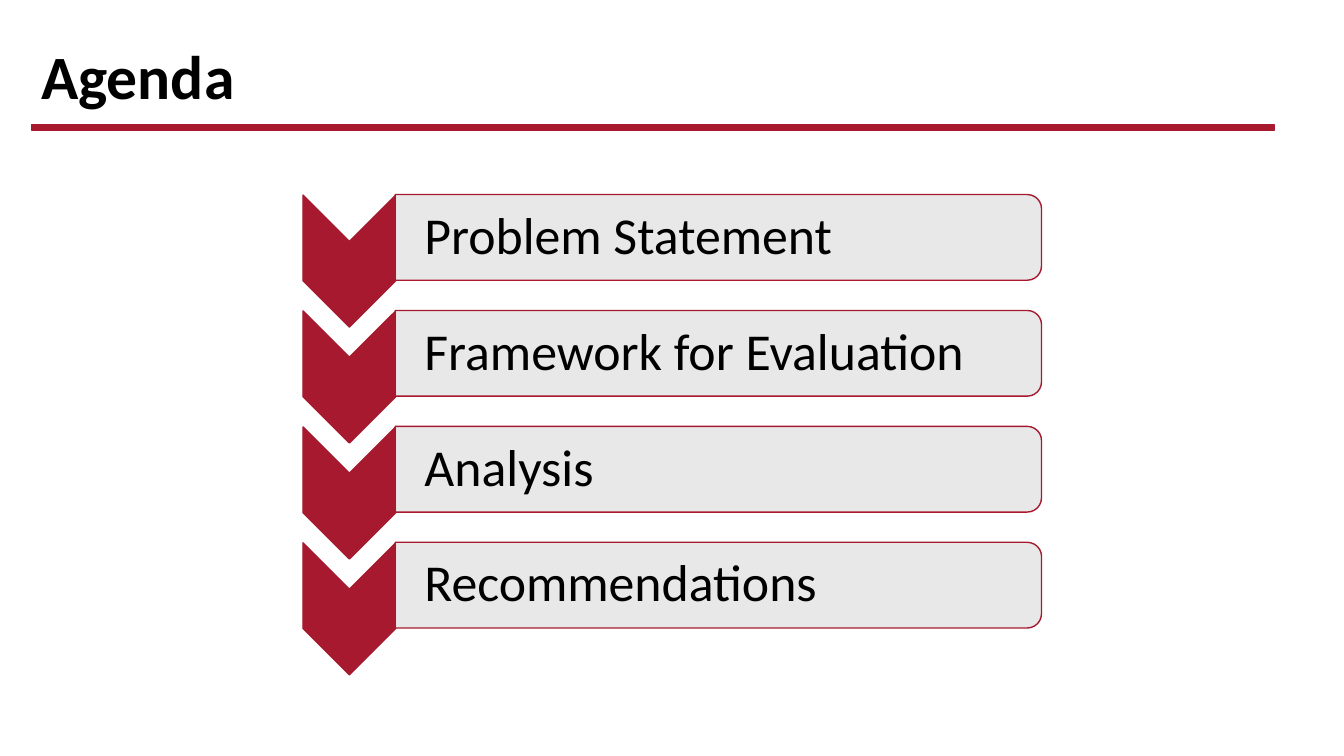
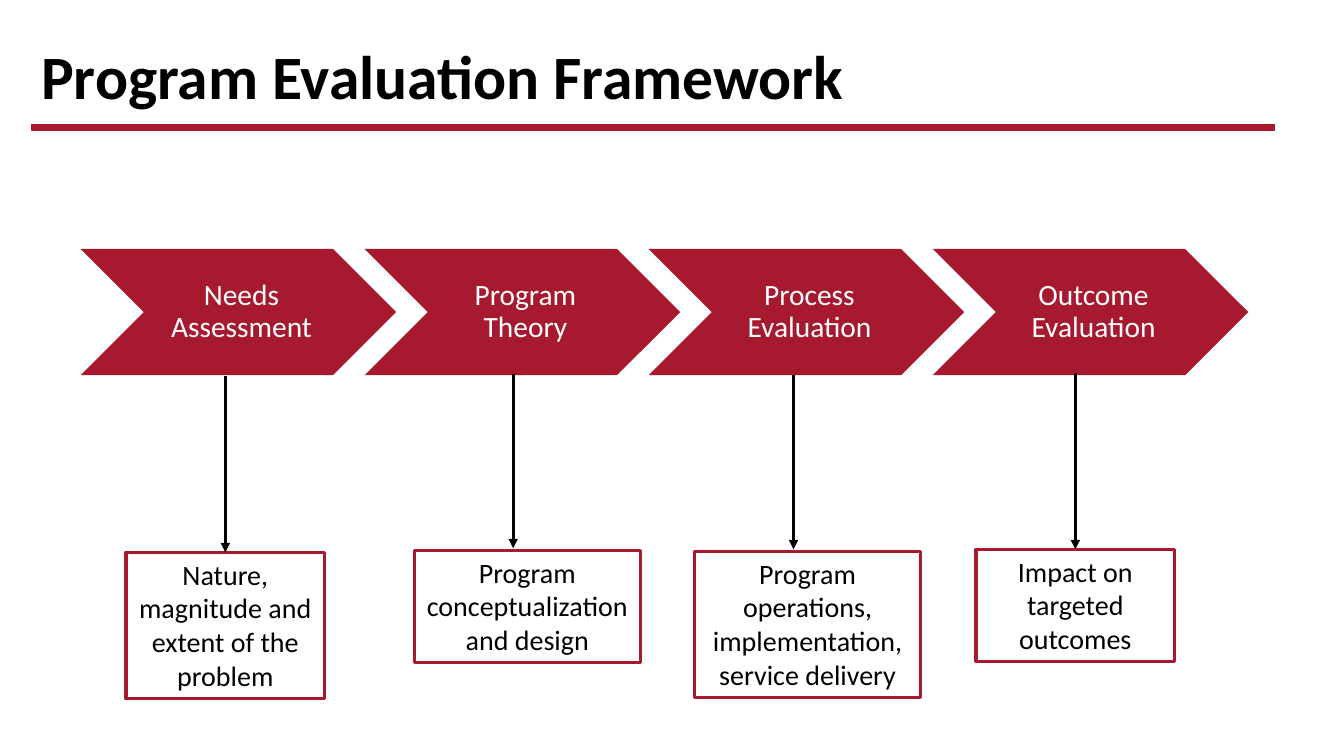
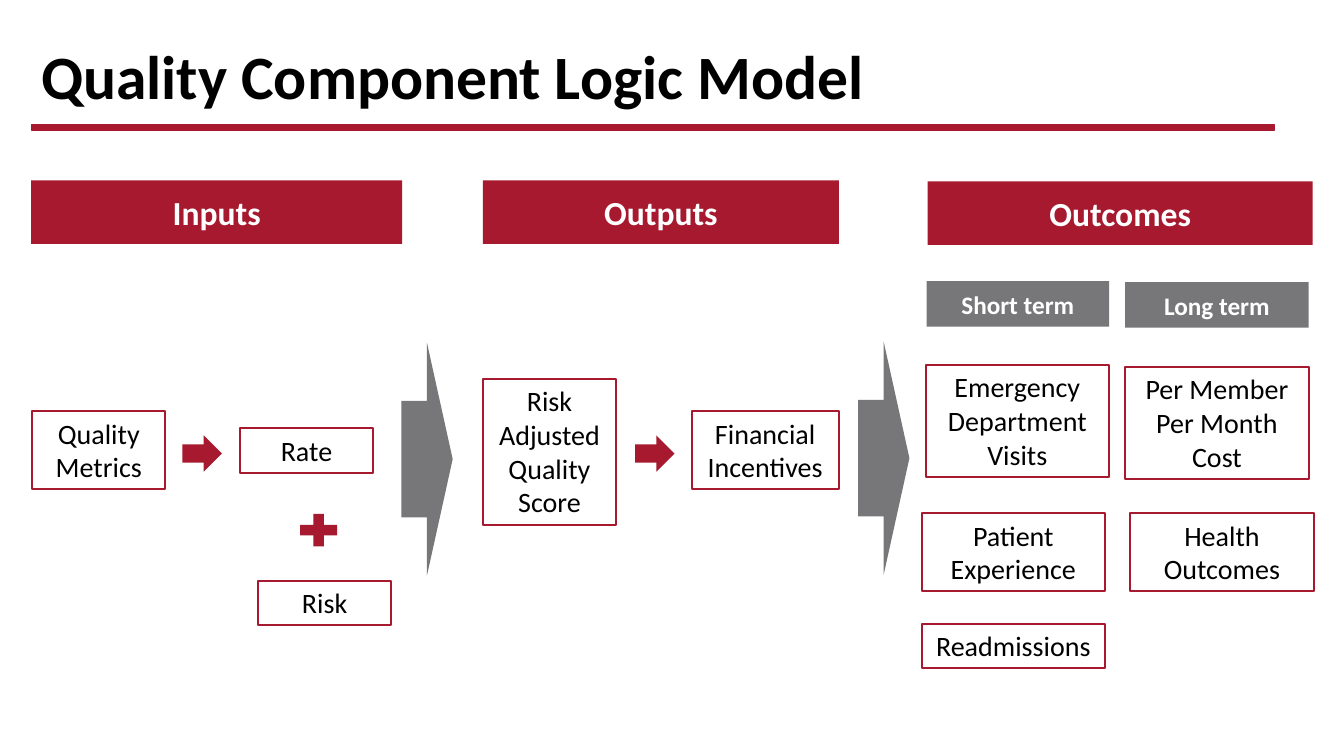
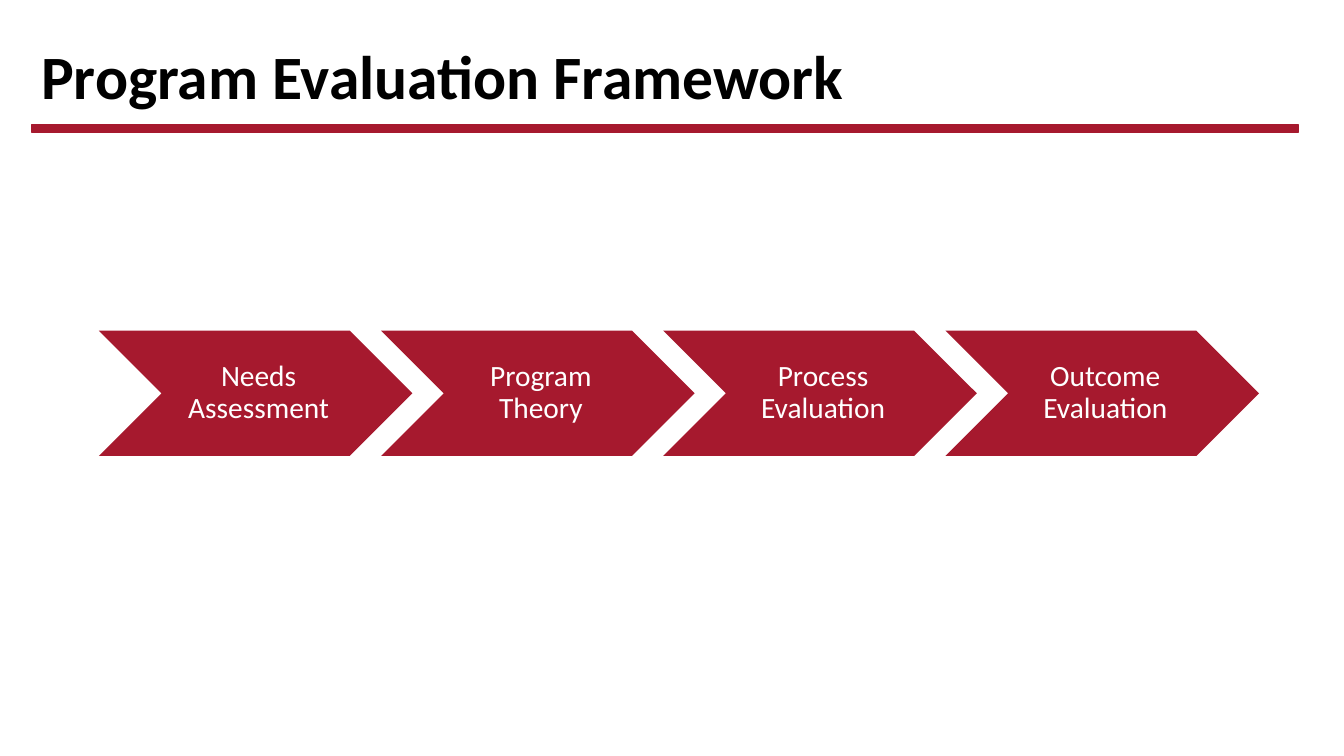
"""Build four slides on a program evaluation framework."""
from dataclasses import dataclass

from lxml.etree import SubElement
from pptx import Presentation
from pptx.dml.color import RGBColor
from pptx.enum.shapes import MSO_CONNECTOR, MSO_SHAPE
from pptx.enum.text import MSO_ANCHOR, MSO_AUTO_SIZE, PP_ALIGN
from pptx.oxml.ns import qn
from pptx.util import Inches, Pt


@dataclass(frozen=True)
class Theme:
    font: str = "Calibri"
    red: str = "A6192E"
    gray: str = "777779"
    pale: str = "E7E6E6"
    black: str = "000000"
    white: str = "FFFFFF"
    title: int = 44
    agenda: int = 37
    header: int = 24
    step: int = 21
    body: int = 20
    term: int = 18


THEME = Theme()
BOX_INSETS = (0.1, 0.05, 0.1, 0.05)
STEP_INSETS = (0.09, 0.03, 0.03, 0.03)
AGENDA_INSETS = (0.29, 0.03, 0.03, 0.03)

AGENDA = ["Problem Statement", "Framework for Evaluation", "Analysis", "Recommendations"]
STEPS = ["Needs Assessment", "Program Theory", "Process Evaluation", "Outcome Evaluation"]
STEP_DETAILS = [
    ("Nature, magnitude and extent of the problem", 1.25, 5.48, 1.97, 1.45),
    ("Program conceptualization and design", 4.11, 5.46, 2.24, 1.11),
    ("Program operations, implementation, service delivery", 6.89, 5.47, 2.24, 1.45),
    ("Impact on targeted outcomes", 9.68, 5.45, 1.97, 1.11),
]
HEADERS = [
    ("Inputs", 0.31, 1.79, 3.68, 0.63),
    ("Outputs", 4.79, 1.79, 3.53, 0.63),
    ("Outcomes", 9.2, 1.8, 3.82, 0.63),
]
TERMS = [
    ("Short term", 9.19, 2.79, 1.81, 0.45),
    ("Long term", 11.16, 2.8, 1.82, 0.45),
]
MODEL_BOXES = [
    ("Quality Metrics", 0.32, 4.08, 1.32, 0.77),
    ("Rate", 2.38, 4.25, 1.32, 0.44),
    ("Risk", 2.56, 5.76, 1.32, 0.44),
    ("Risk Adjusted Quality Score", 4.79, 3.76, 1.32, 1.45),
    ("Financial Incentives", 6.86, 4.08, 1.46, 0.77),
    ("Emergency Department Visits", 9.18, 3.62, 1.82, 1.11),
    ("Patient Experience", 9.14, 5.09, 1.82, 0.77),
    ("Readmissions", 9.14, 6.19, 1.82, 0.44),
    ("Per Member Per Month Cost", 11.16, 3.64, 1.82, 1.11),
    ("Health Outcomes", 11.21, 5.09, 1.82, 0.77),
]
MODEL_SYMBOLS = [
    (MSO_SHAPE.MATH_PLUS, THEME.red, 2.91, 5.04, 0.5, 0.44),
    (MSO_SHAPE.RIGHT_ARROW, THEME.gray, 3.98, 3.4, 0.51, 2.31),
    (MSO_SHAPE.RIGHT_ARROW, THEME.gray, 8.51, 3.39, 0.51, 2.31),
    (MSO_SHAPE.RIGHT_ARROW, THEME.red, 1.81, 4.32, 0.39, 0.36),
    (MSO_SHAPE.RIGHT_ARROW, THEME.red, 6.3, 4.32, 0.39, 0.36),
]


def write(shape, text, size, color, bold=False, align=PP_ALIGN.CENTER,
          anchor=MSO_ANCHOR.MIDDLE, insets=BOX_INSETS, spacing=None):
    frame = shape.text_frame
    frame.word_wrap = True
    frame.vertical_anchor = anchor
    (frame.margin_left, frame.margin_top,
     frame.margin_right, frame.margin_bottom) = map(Inches, insets)
    para = frame.paragraphs[0]
    para.alignment = align
    para.line_spacing = spacing
    span = para.add_run()
    span.text = text
    span.font.name = THEME.font
    span.font.size = Pt(size)
    span.font.bold = bold
    span.font.color.rgb = RGBColor.from_string(color)


def add_shape(page, kind, place, fill=None, line=None, weight=1):
    shape = page.shapes.add_shape(kind, *map(Inches, place))
    shape.shadow.inherit = False
    if fill:
        shape.fill.solid()
        shape.fill.fore_color.rgb = RGBColor.from_string(fill)
    else:
        shape.fill.background()
    if line:
        shape.line.color.rgb = RGBColor.from_string(line)
        shape.line.width = Pt(weight)
    else:
        shape.line.fill.background()
    return shape


def add_text(page, place, text, size, **style):
    box = page.shapes.add_textbox(*map(Inches, place))
    write(box, text, size, THEME.black, align=PP_ALIGN.LEFT, spacing=0.9, **style)


def add_page(deck, title, rule_width=12.33, rule_height=0.05):
    page = deck.slides.add_slide(deck.slide_layouts[6])
    add_text(page, (0.31, 0.33, 11.5, 0.91), title, THEME.title, bold=True)
    add_shape(page, MSO_SHAPE.RECTANGLE, (0.31, 1.24, rule_width, rule_height),
              THEME.red, THEME.red)
    return page


def add_outlined_box(page, text, place, weight):
    box = add_shape(page, MSO_SHAPE.RECTANGLE, place, line=THEME.red, weight=weight)
    write(box, text, THEME.body, THEME.black, anchor=MSO_ANCHOR.TOP)
    box.text_frame.auto_size = MSO_AUTO_SIZE.SHAPE_TO_FIT_TEXT
    return box


def add_banner(page, text, place, fill, size):
    banner = add_shape(page, MSO_SHAPE.RECTANGLE, place, fill)
    write(banner, text, size, THEME.white, bold=True)


def add_steps(page, left, top, width):
    for index, text in enumerate(STEPS):
        place = (left + index * width * 0.9, top, width, width * 0.4)
        chevron = add_shape(page, MSO_SHAPE.CHEVRON, place, THEME.red)
        write(chevron, text, THEME.step, THEME.white, insets=STEP_INSETS, spacing=0.9)


def add_arrow(page, x, top, bottom):
    arrow = page.shapes.add_connector(
        MSO_CONNECTOR.STRAIGHT, *map(Inches, (x, top, x, bottom)))
    arrow.line.color.rgb = RGBColor.from_string(THEME.black)
    arrow.line.width = Pt(2.25)
    properties = arrow.element.spPr
    SubElement(properties.find(qn("a:ln")), qn("a:tailEnd"), type="triangle")
    SubElement(properties, qn("a:effectLst"))
    return arrow


def build_agenda(deck):
    page = add_page(deck, "Agenda")
    pitch = 1.15
    for index, text in enumerate(AGENDA):
        shift = index * pitch
        chevron = add_shape(page, MSO_SHAPE.CHEVRON, (2.81, 2.13 + shift, 1.31, 0.92),
                            THEME.red, THEME.red)
        bar = add_shape(page, MSO_SHAPE.ROUND_2_SAME_RECTANGLE,
                        (6.7, -0.85 + shift, 0.85, 6.41), THEME.pale, THEME.red)
        chevron.rotation = bar.rotation = 90
        color = bar.element.spPr.find(qn("a:solidFill"))[0]
        SubElement(color, qn("a:alpha"), val="90000")
        add_text(page, (3.92, 1.97 + shift, 6.37, 0.77), text, THEME.agenda,
                 insets=AGENDA_INSETS)


def build_framework_details(deck):
    page = add_page(deck, "Program Evaluation Framework")
    add_steps(page, 0.8, 2.47, 3.13)
    arrow_offset, arrow_length, arrow_gap = 0.98, 1.73, 0.02
    for text, left, top, width, height in STEP_DETAILS:
        box = add_outlined_box(page, text, (left, top, width, height), 2.25)
        end = top - arrow_gap
        arrow = add_arrow(page, left + arrow_offset, end - arrow_length, end)
        if abs(width / 2 - arrow_offset) < 0.01:
            arrow.begin_x = box.left + box.width // 2
            arrow.end_connect(box, 0)


def build_logic_model(deck):
    page = add_page(deck, "Quality Component Logic Model")
    for text, *place in HEADERS:
        add_banner(page, text, place, THEME.red, THEME.header)
    for text, *place in TERMS:
        add_banner(page, text, place, THEME.gray, THEME.term)
    for kind, fill, *place in MODEL_SYMBOLS:
        add_shape(page, kind, place, fill)
    for text, *place in MODEL_BOXES:
        add_outlined_box(page, text, place, 1.5)


def build_framework(deck):
    page = add_page(deck, "Program Evaluation Framework", 12.57, 0.07)
    add_steps(page, 0.98, 3.28, 3.11)


def main():
    deck = Presentation()
    deck.slide_width, deck.slide_height = Inches(13.33), Inches(7.5)
    build_agenda(deck)
    build_framework_details(deck)
    build_logic_model(deck)
    build_framework(deck)
    deck.save("out.pptx")


if __name__ == "__main__":
    main()
